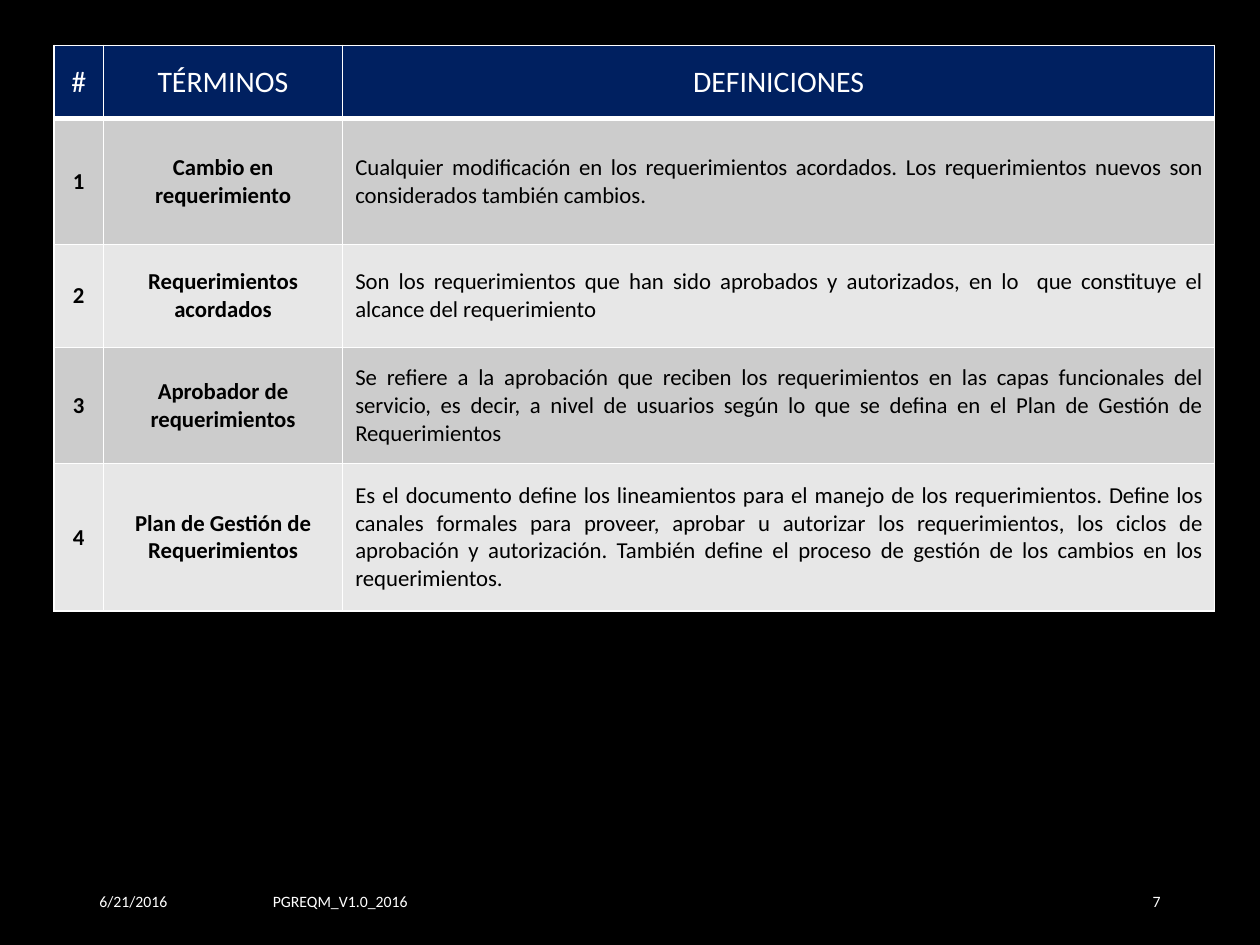
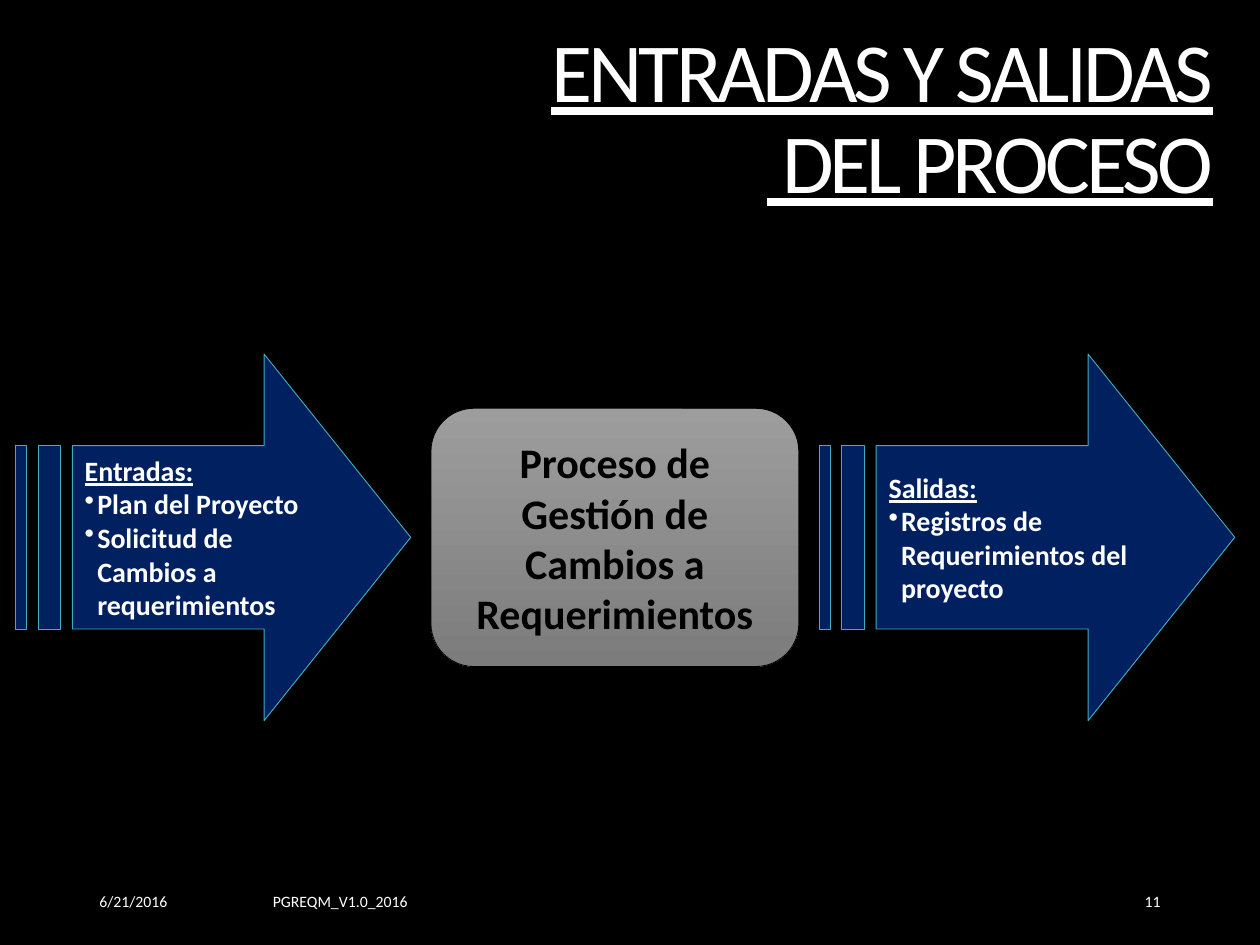
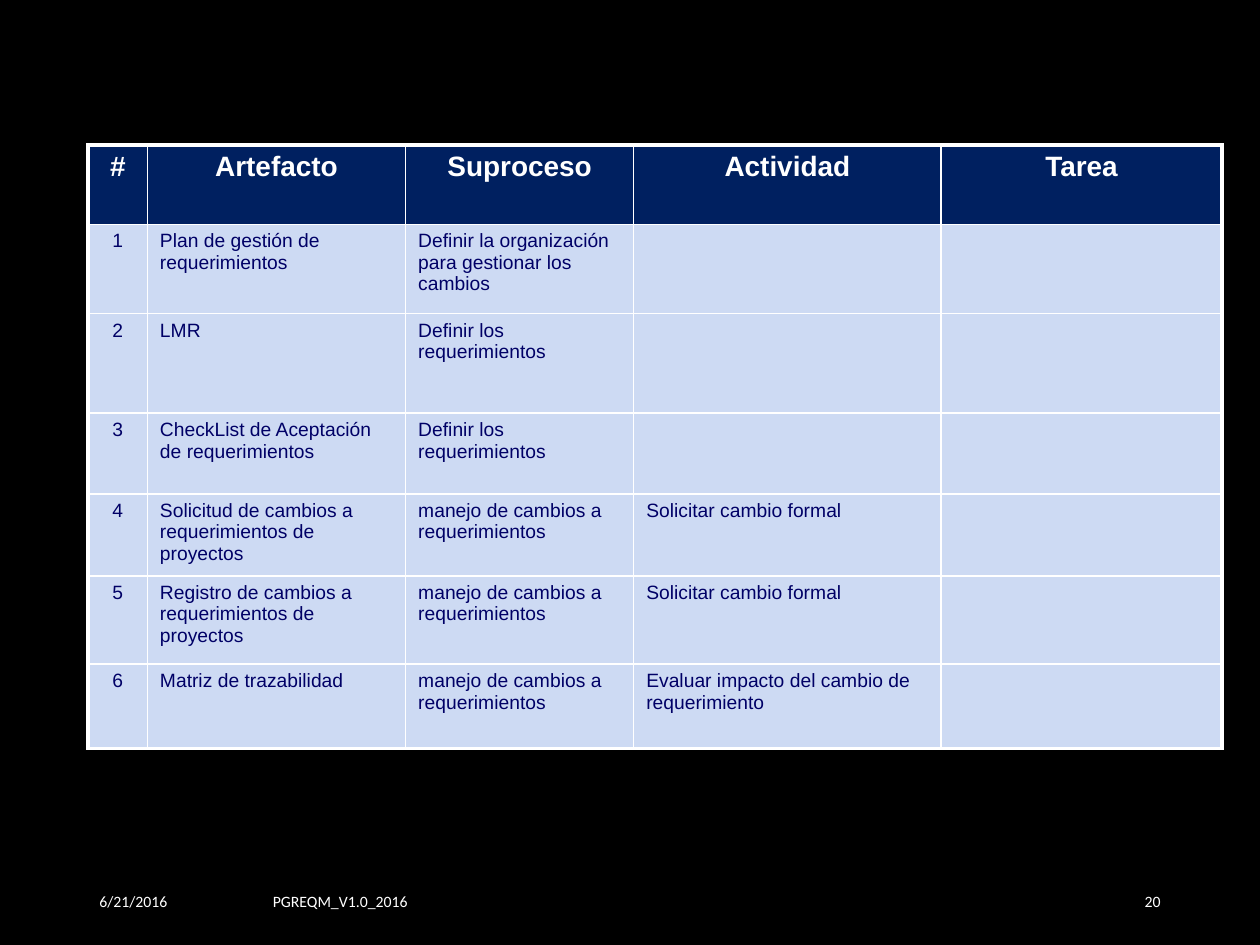
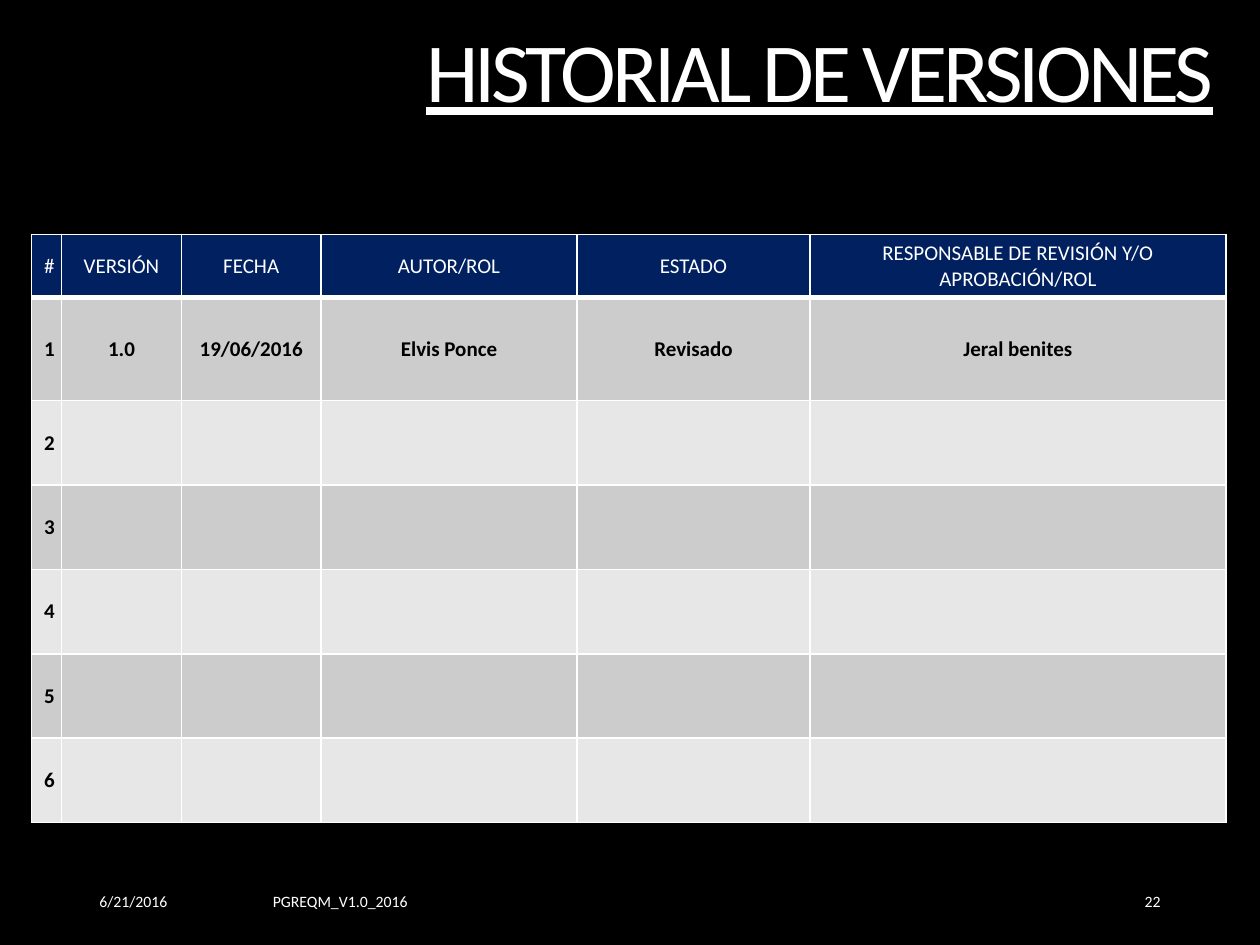
from lxml.etree import SubElement
from pptx import Presentation
from pptx.dml.color import RGBColor
from pptx.enum.shapes import MSO_SHAPE
from pptx.enum.text import MSO_ANCHOR, MSO_AUTO_SIZE, PP_ALIGN
from pptx.oxml.ns import qn
from pptx.util import Inches, Pt

BLACK = RGBColor(0x00, 0x00, 0x00)
WHITE = RGBColor(0xFF, 0xFF, 0xFF)
NAVY = RGBColor(0x00, 0x20, 0x60)
TEAL = RGBColor(0x41, 0xAE, 0xBD)
DARK_BAND = RGBColor(0xCC, 0xCC, 0xCC)
LIGHT_BAND = RGBColor(0xE7, 0xE7, 0xE7)
PALE_BLUE = RGBColor(0xCD, 0xDA, 0xF3)
INK_BLUE = RGBColor(0x00, 0x00, 0x66)
BOX_TOP = RGBColor(0x9D, 0x9D, 0x9D)
BOX_BOTTOM = RGBColor(0x7C, 0x7C, 0x7C)

LEFT, CENTER, RIGHT, JUSTIFY = PP_ALIGN.LEFT, PP_ALIGN.CENTER, PP_ALIGN.RIGHT, PP_ALIGN.JUSTIFY
LAYOUT_TITLE_ONLY, LAYOUT_BLANK = 5, 6


def add_run(paragraph, text, size, color, bold=False, underline=False, font="Calibri"):
    run = paragraph.add_run()
    run.text = text
    run.font.name = font
    run.font.size = Pt(size)
    run.font.color.rgb = color
    run.font.bold = bold
    run.font.underline = underline
    return run


def add_grid(slide, left, top, widths, heights, rows, sizes, alignments, bold_columns,
             bands=(DARK_BAND, LIGHT_BAND), ink=BLACK, font="Calibri",
             bold_header=False, anchor=MSO_ANCHOR.MIDDLE, edge=1, header_rule=3):
    """Add a table with a navy header; sizes holds the header and body text sizes."""
    table = slide.shapes.add_table(
        len(heights), len(widths), Inches(left), Inches(top),
        Inches(sum(widths)), Inches(sum(heights))).table
    table.horz_banding = False
    for column, width in zip(table.columns, widths):
        column.width = Inches(width)
    for row, height in zip(table.rows, heights):
        row.height = Inches(height)

    last_row, last_column = len(heights) - 1, len(widths) - 1
    for r in range(len(heights)):
        for c in range(len(widths)):
            cell = table.cell(r, c)
            cell.vertical_anchor = anchor
            borders = {
                "a:lnL": edge if c == 0 else 1,
                "a:lnR": edge if c == last_column else 1,
                "a:lnT": edge if r == 0 else header_rule if r == 1 else 1,
                "a:lnB": edge if r == last_row else header_rule if r == 0 else 1,
            }
            properties = cell._tc.get_or_add_tcPr()
            for tag, width in borders.items():
                line = SubElement(properties, qn(tag), w=str(Pt(width)))
                fill = SubElement(line, qn("a:solidFill"))
                SubElement(fill, qn("a:srgbClr"), val=str(WHITE))
            cell.fill.solid()
            cell.fill.fore_color.rgb = NAVY if r == 0 else bands[(r - 1) % len(bands)]

            text = rows[r][c] if c < len(rows[r]) else ""
            if not text:
                continue
            paragraph = cell.text_frame.paragraphs[0]
            if r == 0:
                paragraph.alignment = CENTER
                add_run(paragraph, text, sizes[0], WHITE, bold_header, font=font)
            else:
                paragraph.alignment = alignments[c]
                paragraph.space_before = Pt(sizes[1] * 0.2)
                add_run(paragraph, text, sizes[1], ink, c in bold_columns, font=font)


presentation = Presentation()
presentation.slide_width = Inches(10)
presentation.slide_height = Inches(7.5)
background = presentation.slide_master.background.fill
background.solid()
background.fore_color.rgb = BLACK

# Titles and footers
slides = []
for number, title_lines, title_height in [
    ("7", [], 0),
    ("11", ["ENTRADAS Y SALIDAS", " DEL PROCESO"], 1.74),
    ("20", [], 0),
    ("22", ["HISTORIAL DE VERSIONES"], 1.11),
]:
    layout = LAYOUT_TITLE_ONLY if title_lines else LAYOUT_BLANK
    slide = presentation.slides.add_slide(presentation.slide_layouts[layout])
    slides.append(slide)

    if title_lines:
        title = slide.shapes.title
        title.left, title.top = Inches(0.28), Inches(0.19)
        title.width, title.height = Inches(9.45), Inches(title_height)
        title.text_frame.vertical_anchor = MSO_ANCHOR.TOP
        title.text_frame.auto_size = MSO_AUTO_SIZE.NONE
        title.text_frame.word_wrap = True
        paragraph = title.text_frame.paragraphs[0]
        paragraph.alignment = RIGHT
        paragraph.line_spacing = 0.9
        for index, text in enumerate(title_lines):
            if index:
                paragraph.add_line_break()
            run = add_run(paragraph, text, 48, WHITE, underline=True)
            run.font._element.set("spc", "-220")

    for text, left, width, alignment in [
        ("6/21/2016", 0.69, 2.25, LEFT),
        ("PGREQM_V1.0_2016", 0.72, 3.96, CENTER),
        (number, 7.06, 2.25, RIGHT),
    ]:
        footer = slide.shapes.add_textbox(Inches(left), Inches(6.95), Inches(width), Inches(0.4))
        footer.text_frame.word_wrap = True
        footer.text_frame.vertical_anchor = MSO_ANCHOR.MIDDLE
        paragraph = footer.text_frame.paragraphs[0]
        paragraph.alignment = alignment
        add_run(paragraph, text, 9, WHITE)

glossary_slide, flow_slide, artifact_slide, version_slide = slides

# Glossary
add_grid(
    glossary_slide, 0.43, 0.36, [0.39, 1.9, 6.92], [0.58, 1, 0.82, 0.92, 1.17],
    [
        ["#", "TÉRMINOS", "DEFINICIONES"],
        ["1", "Cambio en requerimiento",
         "Cualquier modificación en los requerimientos acordados. Los requerimientos nuevos "
         "son considerados también cambios. "],
        ["2", "Requerimientos acordados",
         "Son los requerimientos que han sido aprobados y autorizados, en lo  que constituye "
         "el alcance del requerimiento"],
        ["3", "Aprobador de requerimientos",
         "Se refiere a la aprobación que reciben los requerimientos en las capas funcionales "
         "del servicio, es decir, a nivel de usuarios según lo que se defina en el Plan de "
         "Gestión de Requerimientos"],
        ["4", "Plan de Gestión de Requerimientos",
         "Es el documento define los lineamientos para el manejo de los requerimientos. Define "
         "los canales formales para proveer, aprobar u autorizar los requerimientos, los ciclos "
         "de aprobación y autorización. También define el proceso de gestión de los cambios en "
         "los requerimientos."],
    ],
    sizes=(17, 13), alignments=[CENTER, CENTER, JUSTIFY], bold_columns=[0, 1])

# Process inputs and outputs
for left, width, heading, items in [
    (0.12, 3.14, "Entradas:",
     ["Plan del Proyecto", "Solicitud de Cambios a requerimientos"]),
    (6.5, 3.3, "Salidas:", ["Registros de Requerimientos del proyecto"]),
]:
    arrow = flow_slide.shapes.add_shape(
        MSO_SHAPE.STRIPED_RIGHT_ARROW, Inches(left), Inches(2.81), Inches(width), Inches(2.91))
    arrow.adjustments[0] = 0.5
    arrow.adjustments[1] = 0.4
    arrow.shadow.inherit = False
    arrow.fill.solid()
    arrow.fill.fore_color.rgb = NAVY
    arrow.line.color.rgb = TEAL
    arrow.line.width = Pt(0.5)
    frame = arrow.text_frame
    frame.word_wrap = True
    frame.vertical_anchor = MSO_ANCHOR.MIDDLE
    frame.paragraphs[0].alignment = LEFT
    add_run(frame.paragraphs[0], heading, 16, WHITE, bold=True, underline=True)
    for item in items:
        paragraph = frame.add_paragraph()
        paragraph.alignment = LEFT
        properties = paragraph._p.get_or_add_pPr()
        properties.set("marL", str(Inches(0.1)))
        properties.set("indent", str(-Inches(0.1)))
        SubElement(properties, qn("a:buChar"), char="•")
        add_run(paragraph, item, 16, WHITE, bold=True)

process = flow_slide.shapes.add_shape(
    MSO_SHAPE.ROUNDED_RECTANGLE, Inches(3.42), Inches(3.24), Inches(2.92), Inches(2.05))
process.shadow.inherit = False
process.fill.gradient()
process.fill.gradient_angle = 270
for stop, color in zip(process.fill.gradient_stops, (BOX_TOP, BOX_BOTTOM)):
    stop.color.rgb = color
process.line.color.rgb = BLACK
process.line.width = Pt(0.5)
process.text_frame.word_wrap = True
process.text_frame.vertical_anchor = MSO_ANCHOR.MIDDLE
paragraph = process.text_frame.paragraphs[0]
paragraph.alignment = CENTER
add_run(paragraph, "Proceso de Gestión de Cambios a Requerimientos", 24, BLACK, bold=True)

# Artifacts
CHANGE_HANDLING = "manejo de cambios a requerimientos"
add_grid(
    artifact_slide, 0.7, 1.15, [0.47, 2.05, 1.81, 2.44, 2.23],
    [0.63, 0.71, 0.79, 0.64, 0.65, 0.7, 0.67],
    [
        ["#", "Artefacto", "Suproceso", "Actividad", "Tarea"],
        ["1", "Plan de gestión de requerimientos",
         "Definir la organización para gestionar los cambios"],
        ["2", "LMR", "Definir los requerimientos"],
        ["3", "CheckList de Aceptación de requerimientos", "Definir los requerimientos"],
        ["4", "Solicitud de cambios a requerimientos de proyectos", CHANGE_HANDLING,
         "Solicitar cambio formal"],
        ["5", "Registro de cambios a requerimientos de proyectos", CHANGE_HANDLING,
         "Solicitar cambio formal"],
        ["6", "Matriz de trazabilidad", CHANGE_HANDLING,
         "Evaluar impacto del cambio de requerimiento"],
    ],
    sizes=(16, 11), alignments=[CENTER] + [LEFT] * 4, bold_columns=[],
    bands=(PALE_BLUE,), ink=INK_BLUE, font="Arial", bold_header=True,
    anchor=MSO_ANCHOR.TOP, edge=2.25, header_rule=1)

# Version history
add_grid(
    version_slide, 0.25, 1.86, [0.23, 0.95, 1.11, 2.03, 1.85, 3.3],
    [0.48, 0.82] + [0.67] * 5,
    [
        ["#", "VERSIÓN", "FECHA", "AUTOR/ROL", "ESTADO",
         "RESPONSABLE DE REVISIÓN Y/O APROBACIÓN/ROL"],
        ["1", "1.0", "19/06/2016", "Elvis Ponce", "Revisado", "Jeral benites"],
    ] + [[str(number)] for number in range(2, 7)],
    sizes=(12, 12), alignments=[CENTER] * 6, bold_columns=range(6))

presentation.save("out.pptx")
